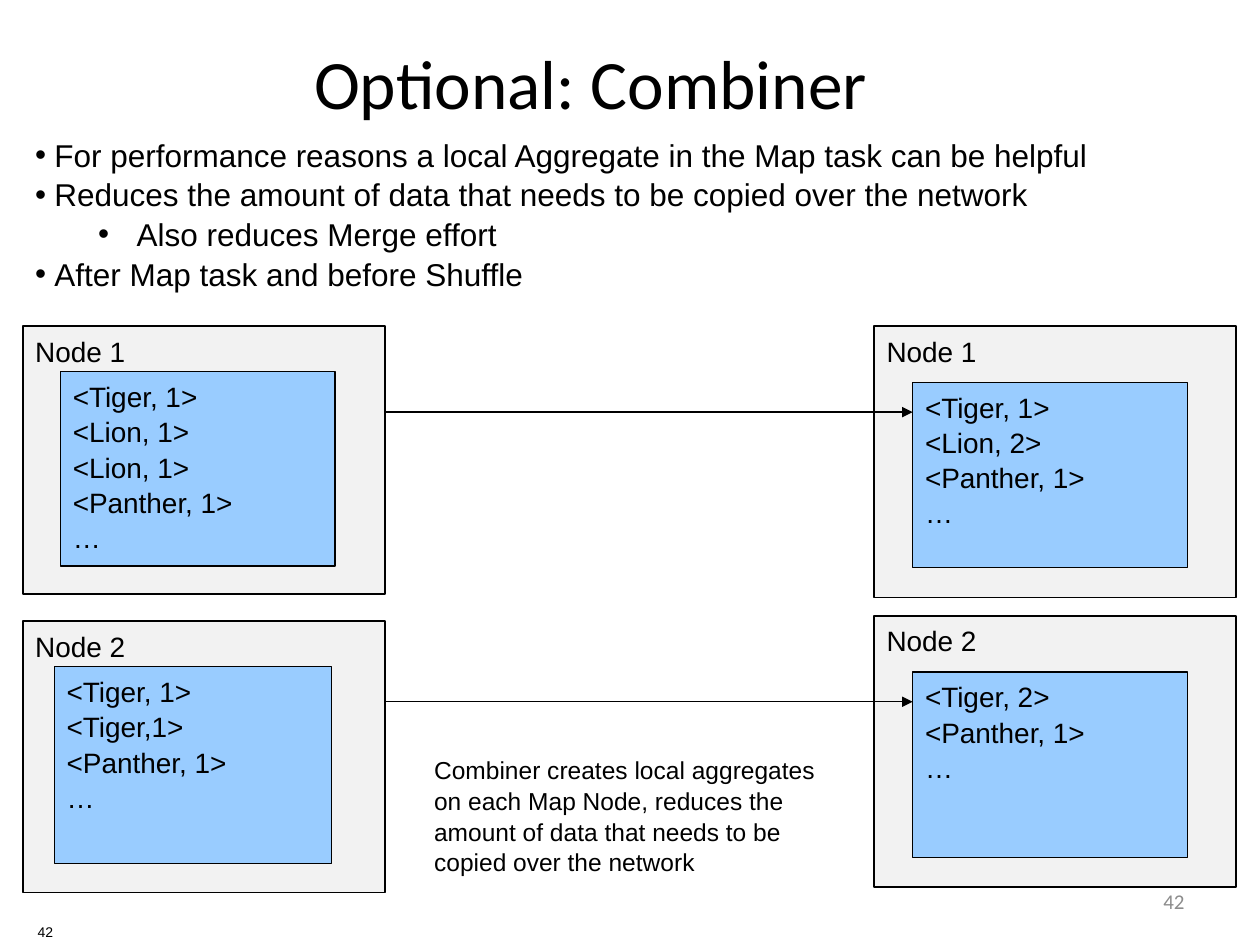
import pptx
import pptx.util
import pptx.dml.color
import pptx.enum.shapes
import pptx.enum.text
import pptx.oxml.ns
from lxml import etree

Pt = pptx.util.Pt
Align = pptx.enum.text.PP_ALIGN
Anchor = pptx.enum.text.MSO_ANCHOR
COLORS = {"ink": "000000", "node": "F2F2F2", "records": "99CCFF", "number": "8C8C8C"}


def rgb(name):
    return pptx.dml.color.RGBColor.from_string(COLORS[name])


def place(element, box):
    element.left, element.top, element.width, element.height = map(Pt, box)


def write(frame, lines, size, font="Arial", color="ink", align=Align.LEFT, spacing=1.05, anchor=Anchor.TOP):
    frame.word_wrap = True
    frame.vertical_anchor = anchor
    frame.text = "\n".join(lines)
    for paragraph in frame.paragraphs:
        paragraph.alignment = align
        paragraph.line_spacing = spacing
        paragraph.font.size = Pt(size)
        paragraph.font.name = font
        paragraph.font.color.rgb = rgb(color)


def add_text(slide, box, lines, size, **style):
    label = slide.shapes.add_textbox(*map(Pt, box))
    write(label.text_frame, lines, size, **style)
    return label


def add_bullets(slide, box, points):
    frame = slide.shapes.add_textbox(*map(Pt, box)).text_frame
    frame.text = "\n".join(text for text, level in points)
    frame.margin_top = frame.margin_bottom = Pt(3)
    for paragraph, (text, level) in zip(frame.paragraphs, points):
        paragraph.level = level
        margin, hanging = ((11, 11), (58, 22))[level]
        properties = paragraph._p.get_or_add_pPr()
        properties.set("marL", str(Pt(margin)))
        properties.set("indent", str(-Pt(hanging)))
        etree.SubElement(properties, pptx.oxml.ns.qn("a:buFont")).set("typeface", "Arial")
        etree.SubElement(properties, pptx.oxml.ns.qn("a:buChar")).set("char", "•")
    frame.word_wrap = True
    for paragraph in frame.paragraphs:
        paragraph.line_spacing = 1.05
        paragraph.font.size = Pt(18)
        paragraph.font.name = "Arial"
        paragraph.font.color.rgb = rgb("ink")


def add_panel(group, box, fill, line_width, lines):
    panel = group.shapes.add_shape(pptx.enum.shapes.MSO_SHAPE.RECTANGLE, *map(Pt, box))
    panel.shadow.inherit = False
    panel.fill.solid()
    panel.fill.fore_color.rgb = rgb(fill)
    panel.line.color.rgb = rgb("ink")
    panel.line.width = Pt(line_width)
    write(panel.text_frame, lines, 16)


def add_node(slide, name, node_box, records_box, records):
    group = slide.shapes.add_group_shape()
    add_panel(group, node_box, "node", 1, [name])
    add_panel(group, records_box, "records", 0.75, records)


def add_arrow(slide, start, end, y):
    arrow = slide.shapes.add_connector(
        pptx.enum.shapes.MSO_CONNECTOR.STRAIGHT, Pt(start), Pt(y), Pt(end), Pt(y))
    arrow.line.color.rgb = rgb("ink")
    arrow.line.width = Pt(0.75)
    etree.SubElement(arrow.line._get_or_add_ln(), pptx.oxml.ns.qn("a:tailEnd")).set("type", "triangle")
    etree.SubElement(arrow._element.spPr, pptx.oxml.ns.qn("a:effectLst"))


def main():
    deck = pptx.Presentation()
    deck.slide_width, deck.slide_height = Pt(720), Pt(540)
    slide = deck.slides.add_slide(deck.slide_layouts[5])

    title = slide.shapes.title
    place(title, (10, 33, 664, 41))
    write(title.text_frame, ["Optional: Combiner "], 39.6, font="Calibri",
          align=Align.CENTER, spacing=1.0, anchor=Anchor.BOTTOM)
    title.text_frame.auto_size = pptx.enum.text.MSO_AUTO_SIZE.NONE

    add_bullets(slide, (13, 73.5, 652, 36), [
        ("For performance reasons a local Aggregate in the Map task can be helpful", 0),
        ("Reduces the amount of data that needs to be copied over the network", 0),
        ("Also reduces Merge effort", 1),
        ("After Map task and before Shuffle", 0),
    ])

    combined = [
        ("Node 1", 186.5, ["<Tiger, 1>", "<Lion, 2>", "<Panther, 1>", "…"]),
        ("Node 2", 352, ["<Tiger, 2>", "<Panther, 1>", "…"]),
    ]
    for name, top, records in combined:
        add_node(slide, name, (499.5, top, 207, 155), (521.5, top + 32, 157, 106), records)
    for name, top, records in combined:
        add_arrow(slide, 191.5, 521.5, top + 49)

    add_text(slide, (241, 427, 243.5, 74),
             ["Combiner creates local aggregates on each Map Node, reduces the "
              "amount of data that needs to be copied over the network"], 14)

    add_node(slide, "Node 1", (13, 186.5, 207, 153), (34.5, 212.5, 157, 111),
             ["<Tiger, 1>", "<Lion, 1>", "<Lion, 1>", "<Panther, 1>", "…"])
    add_node(slide, "Node 2", (13, 355, 207, 155), (31, 381, 158.5, 112.5),
             ["<Tiger, 1>", "<Tiger,1>", "<Panther, 1>", "…"])

    add_text(slide, (13, 524, 24.5, 16), ["42"], 8, align=Align.RIGHT)
    add_text(slide, (516, 500.5, 168, 29), ["42"], 12, font="Calibri", color="number",
             align=Align.RIGHT, spacing=1.0, anchor=Anchor.MIDDLE)

    deck.save("out.pptx")


if __name__ == "__main__":
    main()
